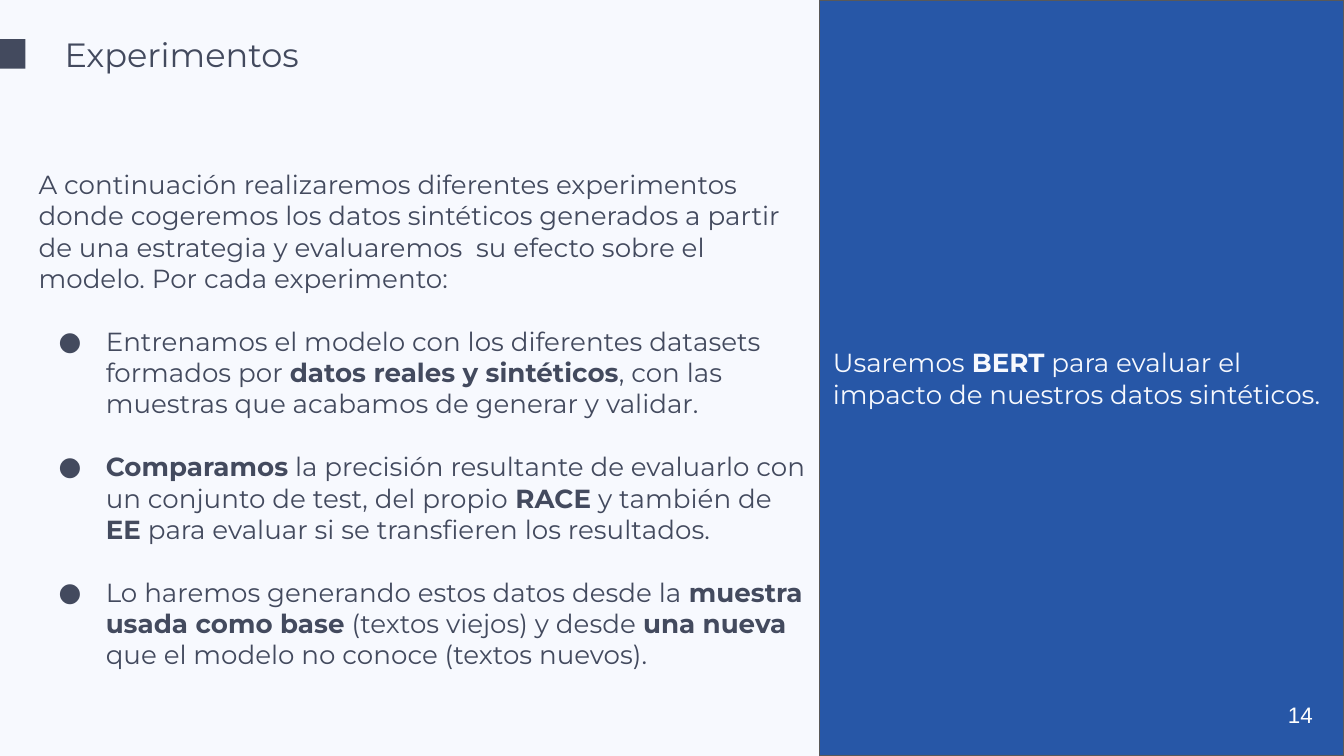
import pptx
import pptx.dml.color
import pptx.enum.shapes
import pptx.enum.text
import pptx.oxml
import pptx.oxml.ns
import pptx.util

Cm = pptx.util.Cm
Pt = pptx.util.Pt
RGBColor = pptx.dml.color.RGBColor
ALIGN = pptx.enum.text.PP_ALIGN
RECT = pptx.enum.shapes.MSO_SHAPE.RECTANGLE

PAPER = RGBColor(0xF7, 0xF9, 0xFE)
INK = RGBColor(0x43, 0x4A, 0x5E)
BLUE = RGBColor(0x27, 0x57, 0xA7)
GREY = RGBColor(0x59, 0x59, 0x59)
WHITE = RGBColor(0xFF, 0xFF, 0xFE)

INSET = Cm(0.25)
FRAME = {
    "word_wrap": True,
    "vertical_anchor": pptx.enum.text.MSO_ANCHOR.MIDDLE,
    "margin_left": INSET,
    "margin_right": INSET,
    "margin_top": INSET,
    "margin_bottom": INSET,
}
TITLE = {"name": "Montserrat", "size": Pt(18)}
BODY = {"name": "Montserrat", "size": Pt(14)}
NUMBER = {"name": "Arial", "size": Pt(12)}

INTRO = (
    "A continuación realizaremos diferentes experimentos donde cogeremos los datos "
    "sintéticos generados a partir de una estrategia y evaluaremos  su efecto sobre "
    "el modelo. Por cada experimento:"
)
STEPS = [
    "Entrenamos el modelo con los diferentes datasets formados por "
    "**datos reales y sintéticos**, con las muestras que acabamos de generar y validar.",
    "**Comparamos** la precisión resultante de evaluarlo con un conjunto de test, del "
    "propio **RACE** y también de **EE** para evaluar si se transfieren los resultados.",
    "Lo haremos generando estos datos desde la **muestra usada como base** (textos "
    "viejos) y desde **una nueva** que el modelo no conoce (textos nuevos).",
]


def set_all(target, values):
    for name, value in values.items():
        setattr(target, name, value)


def write(p, text, style, color, align=ALIGN.LEFT):
    p.alignment = align
    for i, part in enumerate(text.split("**")):
        if part:
            r = p.add_run()
            r.text = part
            set_all(r.font, {**style, "bold": i % 2 == 1})
            r.font.color.rgb = color


def add_bullet(p):
    pPr = p._p.get_or_add_pPr()
    pPr.set("marL", str(Cm(1.27)))
    pPr.set("indent", str(Cm(-0.89)))
    color = pptx.oxml.ns.qn("a:buClr")
    buClr = pPr.makeelement(color, {})
    buClr.append(pPr.makeelement(pptx.oxml.ns.qn("a:srgbClr"), {"val": str(INK)}))
    pPr.append(buClr)
    pPr.append(pPr.makeelement(pptx.oxml.ns.qn("a:buFont"), {"typeface": "Montserrat"}))
    pPr.append(pPr.makeelement(pptx.oxml.ns.qn("a:buChar"), {"char": "●"}))


def add_text(s, box, **frame):
    tf = s.shapes.add_textbox(*box).text_frame
    set_all(tf, {**FRAME, **frame})
    return tf


def add_rect(s, box, fill):
    sp = s.shapes.add_shape(RECT, *box)
    sp.shadow.inherit = False
    sp.fill.solid()
    sp.fill.fore_color.rgb = fill
    sp.line.fill.background()
    return sp


def add_heading(s, left, top, width, height):
    tf = add_text(s, (left, top, width, height), margin_left=Cm(1.22))
    write(tf.paragraphs[0], "Experimentos", TITLE, INK)
    add_rect(s, (left, top + Cm(0.51), Cm(0.48), Cm(0.56)), INK)


def add_body(s, left, top, width, height):
    tf = add_text(s, (left, top, width, height))
    write(tf.paragraphs[0], INTRO, BODY, INK)
    for step in STEPS:
        p = tf.add_paragraph()
        p.space_before = Pt(16.8)
        add_bullet(p)
        write(p, step, BODY, INK)


def add_panel(s, left, top, width, height):
    sp = add_rect(s, (left, top, width, height), BLUE)
    sp.line.color.rgb = GREY
    sp.line.width = Pt(0.75)
    set_all(sp.text_frame, FRAME)
    write(
        sp.text_frame.paragraphs[0],
        "Usaremos **BERT** para evaluar el impacto de nuestros datos sintéticos.",
        BODY,
        PAPER,
    )
    box = (left + width - Cm(1.86), top + height - Cm(1.33), Cm(1.52), Cm(1.09))
    tf = add_text(s, box)
    write(tf.paragraphs[0], "14", NUMBER, WHITE, ALIGN.RIGHT)


def main():
    prs = pptx.Presentation()
    prs.slide_width = Cm(25.4)
    prs.slide_height = Cm(14.29)
    s = prs.slides.add_slide(prs.slide_layouts[6])
    s.background.fill.solid()
    s.background.fill.fore_color.rgb = PAPER

    split = Cm(15.49)
    add_heading(s, Cm(0), Cm(0.23), Cm(17.6), Cm(1.57))
    add_body(s, Cm(0.48), Cm(1.93), split - Cm(0.48), Cm(11.99))
    add_panel(s, split, Cm(0), prs.slide_width - split, prs.slide_height)
    prs.save("out.pptx")


if __name__ == "__main__":
    main()
